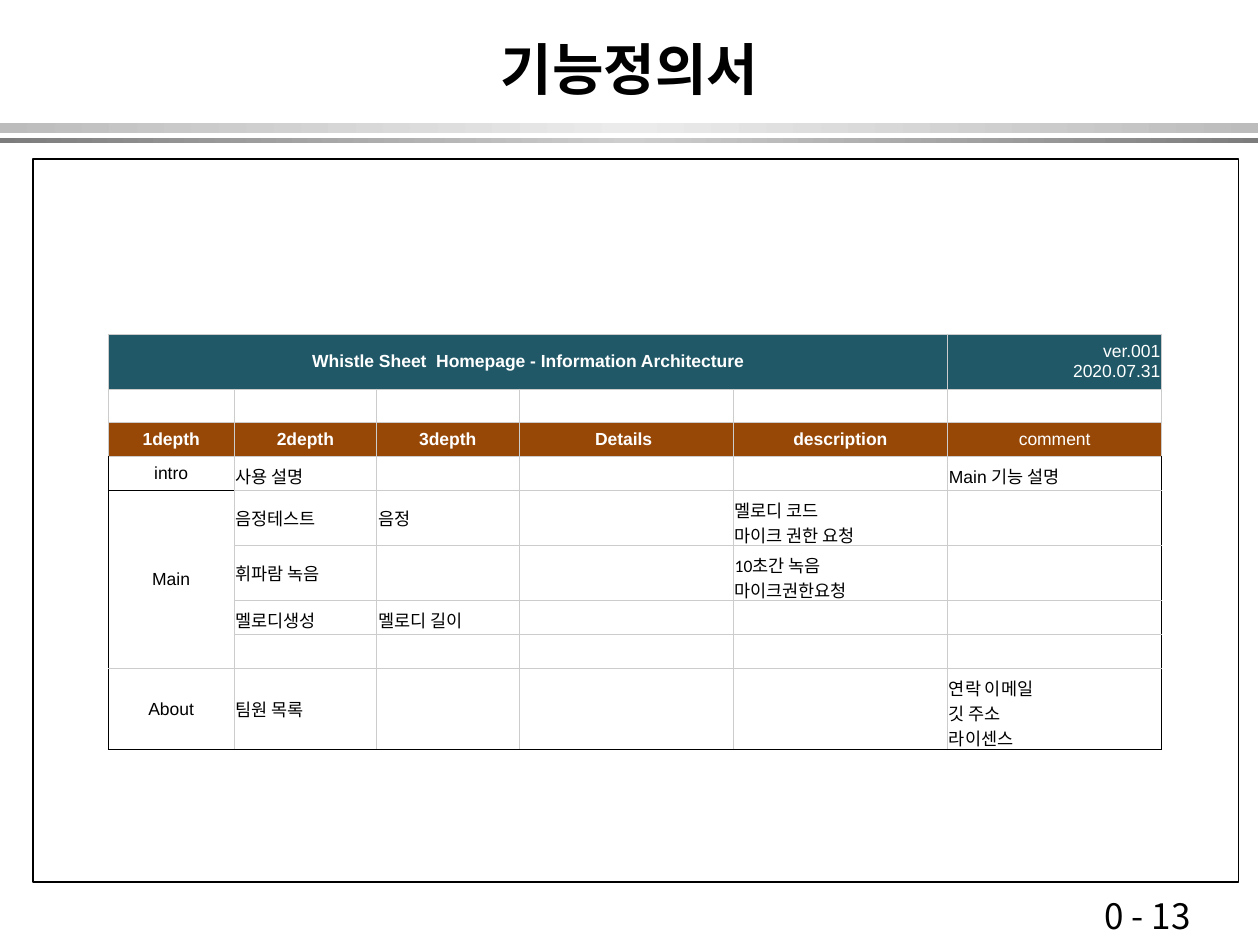
from copy import deepcopy
from dataclasses import dataclass

from lxml import etree
from pptx import Presentation
from pptx import util as u
from pptx.dml.color import RGBColor
from pptx.enum import shapes, text
from pptx.oxml.ns import qn

COLORS = {
    "black": "000000", "white": "FFFFFF", "grid": "CCCCCC",
    "banner": "205867", "heading": "974806",
    "light edge": "BCBCBC", "light middle": "EBEBEB",
    "dark edge": "7C7C7C", "dark middle": "CECECE",
}
KOREAN_FONT = "Noto Sans CJK KR"
LEFT, CENTER, RIGHT = text.PP_ALIGN.LEFT, text.PP_ALIGN.CENTER, text.PP_ALIGN.RIGHT

COLUMN_WIDTHS = [2.54, 2.87, 2.87, 4.32, 4.32, 4.32]
ROW_HEIGHTS = [1.02, 0.53, 0.53, 0.53, 1.09, 1.09, 0.53, 0.53, 1.63]
HEADING_ROW, FIRST_BODY_ROW = 2, 3
LAST_ROW, LAST_COLUMN = len(ROW_HEIGHTS) - 1, len(COLUMN_WIDTHS) - 1
CONTENT = [
    ["Whistle Sheet  Homepage - Information Architecture", "", "", "", "",
     "ver.001\n2020.07.31"],
    [""] * 6,
    ["1depth", "2depth", "3depth", "Details ", "description", "comment"],
    ["intro", "사용 설명", "", "", "", "Main 기능 설명"],
    ["Main", "음정테스트", "음정", "", "멜로디 코드\n마이크 권한 요청", ""],
    ["", "휘파람 녹음", "", "", "10초간 녹음\n마이크권한요청", ""],
    ["", "멜로디생성", "멜로디 길이", "", "", ""],
    [""] * 6,
    ["About", "팀원 목록", "", "", "", "연락 이메일\n깃 주소\n라이센스"],
]


@dataclass
class Bar:
    top: float
    height: float
    edge: str
    middle: str


BARS = [
    Bar(2.49, 0.2, "light edge", "light middle"),
    Bar(2.79, 0.1, "dark edge", "dark middle"),
]


def rgb(name: str) -> RGBColor:
    return RGBColor.from_string(COLORS[name])


def write(frame, words: str, *, size: float, font: str = KOREAN_FONT,
          color: str = "black", bold: bool = False, align=LEFT) -> None:
    """Fill one paragraph; line breaks and empty paragraphs keep the format too."""
    para = frame.paragraphs[0]
    para.text = words
    para.alignment = align
    span = para.runs[0] if words else para.add_run()
    for span in para.runs:
        span.font.size = u.Pt(size)
        span.font.name = font
        span.font.bold = bold
        span.font.color.rgb = rgb(color)
        east_asian = etree.SubElement(span.font._element, qn("a:ea"))
        east_asian.set("typeface", KOREAN_FONT)
    properties = span.font._element
    for line_break in para._p.findall(qn("a:br")):
        line_break.insert(0, deepcopy(properties))
    if not words:
        para._p.remove(span._r)
        properties.tag = qn("a:endParaRPr")
        para._p.append(properties)


def add_bar(page, bar: Bar) -> None:
    box = page.shapes.add_shape(shapes.MSO_SHAPE.RECTANGLE, 0, u.Cm(bar.top),
                                u.Cm(25.37), u.Cm(bar.height))
    box.shadow.inherit = False
    box.line.fill.background()
    box.fill.gradient()
    box.fill.gradient_angle = 0
    stop_list = box._element.spPr.find(".//" + qn("a:gsLst"))
    stop_list.append(deepcopy(stop_list[0]))
    names = [bar.edge, bar.middle, bar.edge]
    for stop, position, name in zip(box.fill.gradient_stops, [0, 0.5, 1], names):
        stop.position = position
        stop.color.rgb = rgb(name)


def add_frame(page) -> None:
    box = page.shapes.add_shape(shapes.MSO_SHAPE.RECTANGLE, u.Cm(0.66), u.Cm(3.2),
                                u.Cm(24.31), u.Cm(14.58))
    box.shadow.inherit = False
    box.fill.background()
    box.line.color.rgb = rgb("black")
    box.line.width = u.Pt(1)


def set_borders(cell, black_sides: str) -> None:
    """Draw thin grid lines, black on the sides named by L, R, T or B."""
    properties = cell._tc.get_or_add_tcPr()
    for index, side in enumerate("LRTB"):
        line = etree.Element(qn("a:ln" + side), w=str(u.Pt(0.45)))
        fill = etree.SubElement(line, qn("a:solidFill"))
        name = "black" if side in black_sides else "grid"
        etree.SubElement(fill, qn("a:srgbClr"), val=COLORS[name])
        properties.insert(index, line)


def black_sides(row: int, column: int) -> str:
    """Outline the body and separate intro from Main."""
    if row < FIRST_BODY_ROW:
        return ""
    sides = ""
    if column == 0:
        sides += "L"
        sides += {FIRST_BODY_ROW: "B", FIRST_BODY_ROW + 1: "T"}.get(row, "")
    if column == LAST_COLUMN:
        sides += "R"
    if row == LAST_ROW:
        sides += "B"
    return sides


def format_cell(cell, row: int, column: int) -> None:
    words = CONTENT[row][column]
    fill = {0: "banner", HEADING_ROW: "heading"}.get(row)
    if fill:
        cell.fill.solid()
        cell.fill.fore_color.rgb = rgb(fill)
    else:
        cell.fill.background()
    cell.vertical_anchor = text.MSO_ANCHOR.MIDDLE
    cell.margin_left = cell.margin_right = u.Cm(0.03)
    cell.margin_top = cell.margin_bottom = u.Cm(0.13)
    align = CENTER if fill or column == 0 else LEFT
    if row == 0 and column == LAST_COLUMN:
        align = RIGHT
    write(cell.text_frame, words, size=10,
          font="Calibri" if "\n" in words and not fill else "Arial",
          color="white" if fill else "black",
          bold=bool(fill) and column != LAST_COLUMN, align=align)
    set_borders(cell, black_sides(row, column))


def add_architecture_table(page) -> None:
    table = page.shapes.add_table(
        len(ROW_HEIGHTS), len(COLUMN_WIDTHS), u.Cm(2.18), u.Cm(6.73),
        u.Cm(sum(COLUMN_WIDTHS)), u.Cm(sum(ROW_HEIGHTS))).table
    table.first_row = table.horz_banding = False
    for column, width in zip(table.columns, COLUMN_WIDTHS):
        column.width = u.Cm(width)
    for row, height in zip(table.rows, ROW_HEIGHTS):
        row.height = u.Cm(height)
    for row in range(len(ROW_HEIGHTS)):
        for column in range(len(COLUMN_WIDTHS)):
            format_cell(table.cell(row, column), row, column)
    table.cell(0, 0).merge(table.cell(0, LAST_COLUMN - 1))
    table.cell(FIRST_BODY_ROW + 1, 0).merge(table.cell(LAST_ROW - 1, 0))


def main() -> None:
    deck = Presentation()
    deck.slide_width, deck.slide_height = u.Cm(25.4), u.Cm(19.05)
    page = deck.slides.add_slide(deck.slide_layouts[5])

    for bar in BARS:
        add_bar(page, bar)
    add_frame(page)

    number = page.shapes.add_textbox(u.Cm(22.02), u.Cm(17.91), u.Cm(2.97), u.Cm(1.09))
    number.text_frame.word_wrap = True
    write(number.text_frame, "0 - 13", size=20)

    title = page.shapes.title
    title.left, title.top = u.Cm(1.9), u.Cm(0.43)
    title.width, title.height = u.Cm(21.59), u.Cm(1.9)
    title.text_frame.auto_size = text.MSO_AUTO_SIZE.NONE
    title.text_frame.vertical_anchor = text.MSO_ANCHOR.MIDDLE
    write(title.text_frame, "기능정의서", size=32, bold=True, align=CENTER)

    add_architecture_table(page)
    deck.save("out.pptx")


if __name__ == "__main__":
    main()
